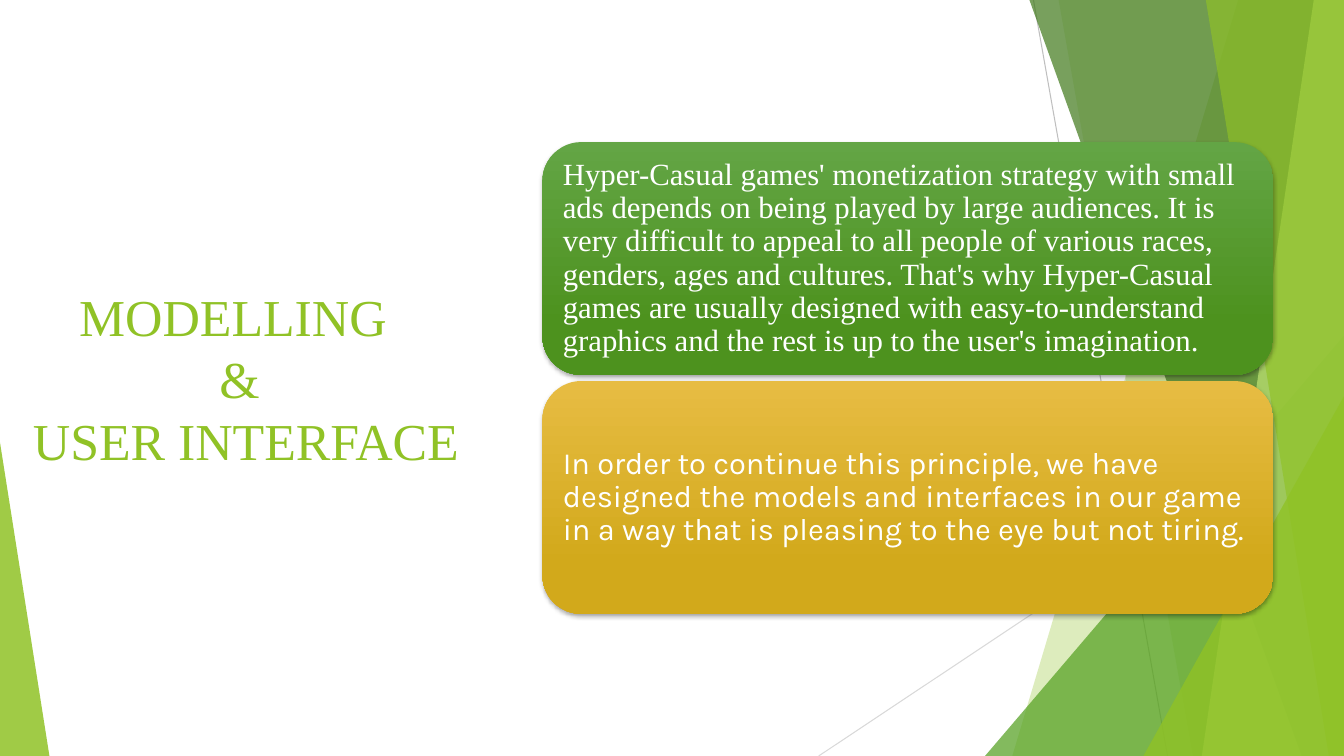
from lxml import etree
from pptx import Presentation
from pptx import util as u
from pptx.dml.color import RGBColor
from pptx.enum import shapes, text
from pptx.oxml.ns import qn

W, H = 13.33, 7.5
LIME = RGBColor(0x90, 0xC2, 0x26)
PALE_LIME = RGBColor(0xC0, 0xE4, 0x74)
GREEN = RGBColor(0x54, 0xA0, 0x21)
DARK_GREEN = RGBColor(0x3F, 0x78, 0x19)
GREY = RGBColor(0xBF, 0xBF, 0xBF)
LIGHT_GREY = RGBColor(0xD9, 0xD9, 0xD9)
WHITE = RGBColor(0xFF, 0xFF, 0xFF)
GREEN_FADE = RGBColor(0x63, 0xA5, 0x45), RGBColor(0x4D, 0x92, 0x1E)
GOLD_FADE = RGBColor(0xE7, 0xBC, 0x43), RGBColor(0xD2, 0xA9, 0x1B)

TITLE = "MODELLING \n&\n USER INTERFACE"
CARDS = [
    ("Hyper-Casual games' monetization strategy with small ads depends on "
     "being played by large audiences. It is very difficult to appeal to all "
     "people of various races, genders, ages and cultures. That's why "
     "Hyper-Casual games are usually designed with easy-to-understand "
     "graphics and the rest is up to the user's imagination.",
     "Times New Roman", GREEN_FADE),
    ("In order to continue this principle, we have designed the models and "
     "interfaces in our game in a way that is pleasing to the eye but not "
     "tiring.", "Karla", GOLD_FADE),
]


def inches(*lengths):
    return [u.Inches(n) for n in lengths]


def paint(sp, color, opacity):
    """Flat see-through fill, no line, no shadow."""
    sp.shadow.inherit = False
    sp.line.fill.background()
    sp.fill.solid()
    sp.fill.fore_color.rgb = color
    clr = sp.fill._xPr.find(qn("a:solidFill"))[0]
    etree.SubElement(clr, qn("a:alpha")).set("val", str(opacity * 1000))


def add_hairline(s, start, end, color):
    line = s.shapes.add_connector(shapes.MSO_CONNECTOR.STRAIGHT,
                                  *inches(*start, *end))
    line.line.color.rgb = color
    line.line.width = u.Pt(0.75)
    etree.SubElement(line._element.spPr, qn("a:effectLst"))


def add_facet(s, box, top_inset, bottom_inset, color, opacity):
    """Panel whose slanted left edge is measured from the right of the box."""
    x, y, w, h = box
    right, bottom = x + w, y + h
    pen = s.shapes.build_freeform(*inches(right - top_inset, y), scale=1.0)
    pen.add_line_segments([inches(right, y), inches(right, bottom),
                           inches(right - bottom_inset, bottom)], close=True)
    paint(pen.convert_to_shape(), color, opacity)


def add_corner(s, box, apex, color, opacity):
    sp = s.shapes.add_shape(shapes.MSO_SHAPE.ISOSCELES_TRIANGLE, *inches(*box))
    sp.adjustments[0] = apex
    paint(sp, color, opacity)


def add_decoration(s, box):
    x, y, w, h = box
    right, bottom = x + w, y + h

    def right_corner(width, height, color, opacity):
        add_corner(s, (right - width, bottom - height, width, height),
                   1, color, opacity)

    add_hairline(s, (right - 3.08, y), (right - 1.75, bottom), GREY)
    add_hairline(s, (right, y + 4.03), (right - 5.21, bottom), LIGHT_GREY)
    add_facet(s, box, 1.05, 3.29, LIME, 30)
    add_facet(s, box, 2.83, 1.5, LIME, 20)
    right_corner(3.56, 4.17, GREEN, 72)
    add_facet(s, box, 3.12, 0.42, DARK_GREEN, 70)
    add_facet(s, box, 0.3, 1.41, PALE_LIME, 70)
    add_facet(s, box, 1.37, 0.15, LIME, 65)
    right_corner(1.99, 3.57, LIME, 80)
    add_corner(s, (x, bottom - 3.11, 0.49, 3.11), 0, LIME, 85)


def add_title(s, box):
    title = s.shapes.title
    title.left, title.top, title.width, title.height = inches(*box)
    # Bring the title in front of the decoration
    s.shapes._spTree.append(title._element)
    tf = title.text_frame
    tf.word_wrap = True
    tf.auto_size = text.MSO_AUTO_SIZE.NONE
    tf.vertical_anchor = text.MSO_ANCHOR.MIDDLE
    p = tf.paragraphs[0]
    p.text = TITLE
    p.alignment = text.PP_ALIGN.CENTER
    p.font.size = u.Pt(37)
    p.font.name = "Times New Roman"
    p.font.color.rgb = LIME


def add_shadow(sp):
    effects = etree.SubElement(sp._element.spPr, qn("a:effectLst"))
    shadow = etree.SubElement(effects, qn("a:outerShdw"),
                              blurRad=str(u.Pt(3)), dist=str(u.Pt(2)),
                              dir="5400000", rotWithShape="0")
    clr = etree.SubElement(shadow, qn("a:srgbClr"), val="000000")
    etree.SubElement(clr, qn("a:alpha"), val="35000")


def add_card(s, box, words, font, fade):
    sp = s.shapes.add_shape(shapes.MSO_SHAPE.ROUNDED_RECTANGLE, *inches(*box))
    sp.line.fill.background()
    sp.fill.gradient()
    sp.fill.gradient_angle = 270
    for stop, color, position in zip(sp.fill.gradient_stops, fade, (0, 0.78)):
        stop.color.rgb = color
        stop.position = position
    add_shadow(sp)
    tf = sp.text_frame
    tf.word_wrap = True
    tf.vertical_anchor = text.MSO_ANCHOR.MIDDLE
    tf.margin_left = tf.margin_right = u.Inches(0.09)
    tf.margin_top = tf.margin_bottom = u.Inches(0.09)
    p = tf.paragraphs[0]
    p.text = words
    p.alignment = text.PP_ALIGN.LEFT
    p.line_spacing = 0.9
    p.font.size = u.Pt(22)
    p.font.name = font
    p.font.color.rgb = WHITE


def add_cards(s, box, gap=0.06):
    x, y, w, h = box
    height = (h - gap * (len(CARDS) - 1)) / len(CARDS)
    for row, card in enumerate(CARDS):
        add_card(s, (x, y + row * (height + gap), w, height), *card)


def main():
    prs = Presentation()
    prs.slide_width, prs.slide_height = inches(W, H)
    s = prs.slides.add_slide(prs.slide_layouts[5])
    add_decoration(s, (0, 0, W, H))
    add_title(s, (0.08, 1.51, 4.59, 4.48))
    add_cards(s, (5.38, 1.41, 7.25, 4.68))
    prs.save("out.pptx")


if __name__ == "__main__":
    main()
